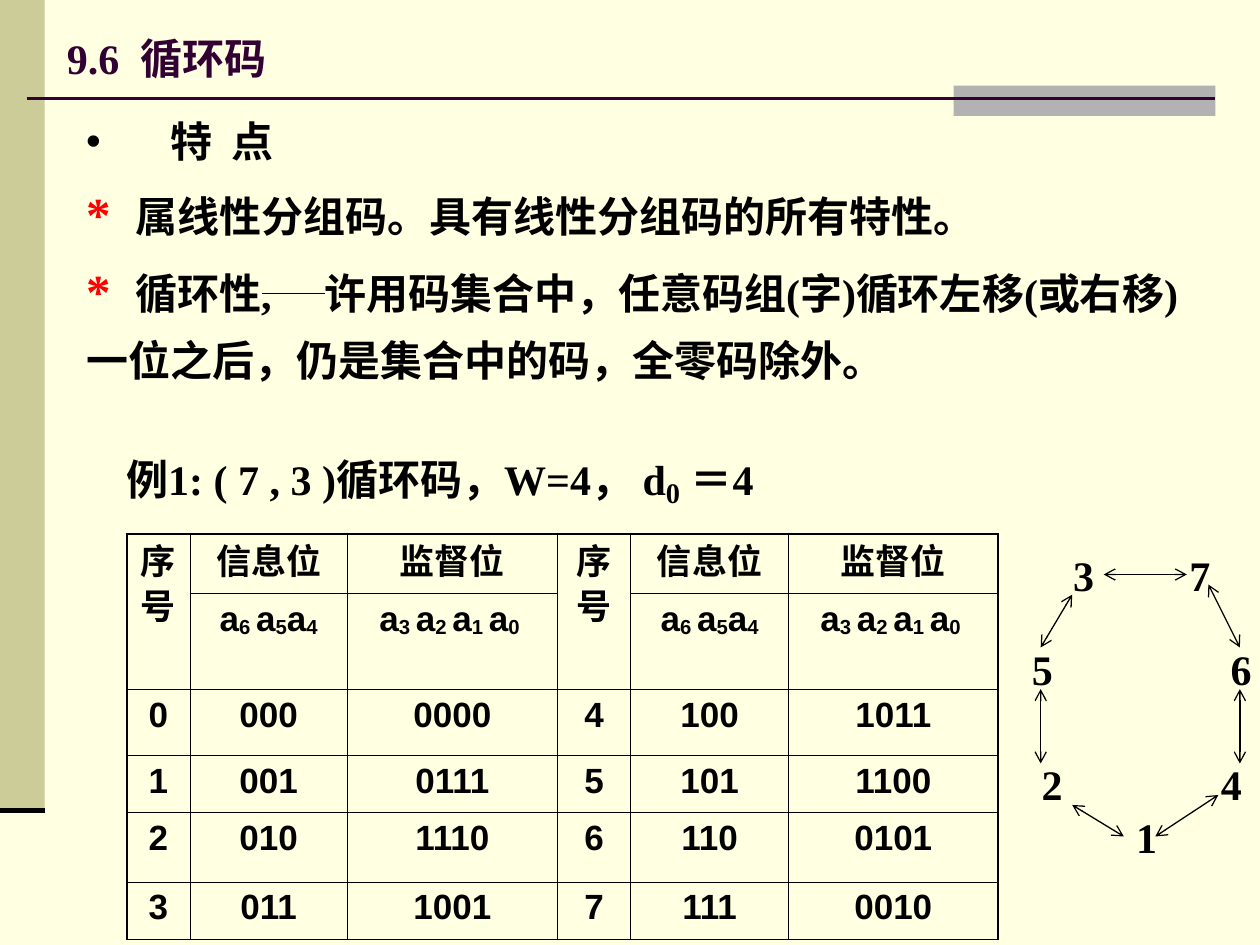
from lxml.etree import SubElement
from pptx import Presentation
from pptx.dml.color import RGBColor
from pptx.enum.shapes import MSO_CONNECTOR as CONN, MSO_SHAPE as SHAPE
from pptx.enum.text import MSO_ANCHOR as ANCHOR, MSO_AUTO_SIZE as FIT, PP_ALIGN as ALIGN
from pptx.oxml import parse_xml
from pptx.oxml.ns import nsdecls, qn
from pptx.util import Pt

# Content
SERIF, SANS = "Times New Roman", "Arial"
BLACK, RED, PLUM = "000000", "FF0000", "330033"
TITLE = "9.6  循环码"
STAR = ("*  ", 28, RED)
BODY = [
    [("特  点", 24, BLACK)],
    [STAR, ("属线性分组码。具有线性分组码的所有特性。", 24, BLACK)],
    [STAR, ("循环性,     许用码集合中，任意码组(字)循环左移(或右移)", 24, BLACK)],
    [("一位之后，仍是集合中的码，全零码除外。", 24, BLACK)],
]
EXAMPLE = [("例1: ( 7 , 3 )循环码，W=4， d", 24, BLACK),
           ("0", 28, BLACK, -16), (" ＝4", 24, BLACK)]
HEADERS = ["序号", "信息位", "监督位"]
# Letters alternate with their subscripts
SYMBOLS = ["", ["a", "6 ", "a", "5", "a", "4"],
           ["a", "3 ", "a", "2 ", "a", "1 ", "a", "0 "]]
CODES = [("000", "0000"), ("001", "0111"), ("010", "1110"), ("011", "1001"),
         ("100", "1011"), ("101", "1100"), ("110", "0101"), ("111", "0010")]
COL_W = [36, 90, 120, 42, 90, 120]
ROW_H = [34, 55, 37.5, 33, 39.5, 33]
HEADER_PITCH = 25.5  # two header lines fit the height of the second row
# Cycle of code words: number, left, top
NODES = [("1", 642.2, 460), ("2", 588.2, 430), ("5", 582.5, 364.3), ("3", 606.2, 310.3),
         ("7", 672.5, 310.3), ("6", 696.2, 364.3), ("4", 690.5, 430)]
ARROWS = [(642.2, 478, 612.7, 460), (594.7, 436.3, 594.7, 393.8),
          (594.7, 370, 612.7, 339.8), (630.7, 328.3, 678.2, 328.3),
          (690.5, 334, 708.5, 370), (708.5, 393.8, 708.5, 436.3),
          (696.2, 454.3, 660.2, 478)]


def rgb(value):
    return RGBColor.from_string(value)


def style(r, size, color, base=0, face=SERIF):
    f = r.font
    f.name, f.size, f.bold = face, Pt(size), True
    f.color.rgb = rgb(color)
    if base:
        f._element.set("baseline", str(base * 1000))


def add_runs(p, parts, face=SERIF):
    for text, size, color, *base in parts:
        r = p.add_run()
        r.text = text
        style(r, size, color, *base, face=face)


def place(shape, *box):
    shape.left, shape.top, shape.width, shape.height = map(Pt, box)


def add_rect(s, box, color):
    sp = s.shapes.add_shape(SHAPE.RECTANGLE, *map(Pt, box))
    sp.shadow.inherit = False
    sp.fill.solid()
    sp.fill.fore_color.rgb = rgb(color)
    sp.line.fill.background()


def add_line(s, ends, width, color=BLACK, arrows=False):
    c = s.shapes.add_connector(CONN.STRAIGHT, *map(Pt, ends))
    c.line.width = Pt(width)
    c.line.color.rgb = rgb(color)
    if arrows:
        for tag in ("a:headEnd", "a:tailEnd"):
            SubElement(c.line._get_or_add_ln(), qn(tag), type="arrow")
    SubElement(c._element.spPr, qn("a:effectLst"))


def add_text(s, box, parts, wrap=True):
    tf = s.shapes.add_textbox(*map(Pt, box)).text_frame
    tf.word_wrap = wrap
    add_runs(tf.paragraphs[0], parts)


def set_borders(cell, widths):
    tcPr = cell._tc.get_or_add_tcPr()
    for i, (side, width) in enumerate(zip("LRTB", widths)):
        tcPr.insert(i, parse_xml(
            f'<a:ln{side} {nsdecls("a")} w="{Pt(width)}"><a:solidFill>'
            f'<a:srgbClr val="{BLACK}"/></a:solidFill></a:ln{side}>'))


def add_code_table(s):
    half = len(CODES) // 2
    rows = [HEADERS * 2, SYMBOLS * 2]
    for i in range(half):
        rows.append([str(i), *CODES[i], str(i + half), *CODES[i + half]])
    n, m = len(ROW_H), len(COL_W)
    box = (72.5, 305, sum(COL_W), sum(ROW_H))
    t = s.shapes.add_table(n, m, *map(Pt, box)).table
    t.first_row = t.horz_banding = False
    for col, w in zip(t.columns, COL_W):
        col.width = Pt(w)
    for row, h in zip(t.rows, ROW_H):
        row.height = Pt(h)
    for i, row in enumerate(rows):
        for j, value in enumerate(row):
            cell = t.cell(i, j)
            cell.fill.background()
            edges = (j == 0, j == m - 1, i == 0, i == n - 1)
            set_borders(cell, [1.08 if outer else 0.45 for outer in edges])
            p = cell.text_frame.paragraphs[0]
            p.alignment = ALIGN.CENTER
            if i == 0:
                cell.margin_bottom = Pt(0)
                p.line_spacing = Pt(HEADER_PITCH)
            if value:
                pieces = [value] if isinstance(value, str) else value
                add_runs(p, [(x, 20, BLACK, -10 * (k % 2)) for k, x in enumerate(pieces)], SANS)
    for j in (0, len(HEADERS)):
        t.cell(0, j).merge(t.cell(1, j))


def main():
    prs = Presentation()
    prs.slide_width, prs.slide_height = Pt(720), Pt(540)
    s = prs.slides.add_slide(prs.slide_layouts[1])
    s.background.fill.solid()
    s.background.fill.fore_color.rgb = rgb("FFFFE1")

    # Side band and title rule
    add_rect(s, (0, 0, 25.5, 463), "CCCC99")
    add_rect(s, (545, 49, 149.5, 17.3), "B2B2B2")
    add_line(s, (15.3, 56.2, 694.5, 56.2), 1.5, PLUM)
    add_line(s, (25.5, 463, 0, 463), 3)

    # Title
    title, body = s.placeholders
    place(title, 31, 15, 564, 36)
    tf = title.text_frame
    tf.text = TITLE
    tf.auto_size, tf.vertical_anchor = FIT.NONE, ANCHOR.MIDDLE
    tf.paragraphs[0].alignment = ALIGN.LEFT
    style(tf.paragraphs[0].runs[0], 24, PLUM)

    # Properties of the code
    place(body, 42, 54, 648, 207.5)
    tf = body.text_frame
    tf.auto_size = FIT.NONE
    for i, parts in enumerate(BODY):
        p = tf.add_paragraph() if i else tf.paragraphs[0]
        p.line_spacing, p.space_before = 1.3, Pt(0)
        pPr = p._p.get_or_add_pPr()
        pPr.set("marL", str(Pt(48)))
        pPr.set("indent", str(Pt(-48)))
        if i:
            SubElement(pPr, qn("a:buNone"))
        else:
            SubElement(SubElement(pPr, qn("a:buClr")), qn("a:srgbClr"), val=BLACK)
            SubElement(pPr, qn("a:buChar"), char="•")
        add_runs(p, parts)
    add_line(s, (150, 167.7, 186, 167.7), 0.75)

    # Example and its code table
    add_code_table(s)
    add_text(s, (65, 251.5, 433.5, 43), EXAMPLE)

    # Cycle diagram
    for number, x, y in NODES:
        add_text(s, (x, y, 26, 36), [(number, 24, BLACK)], wrap=False)
    for ends in ARROWS:
        add_line(s, ends, 0.75, arrows=True)

    prs.save("out.pptx")


if __name__ == "__main__":
    main()
